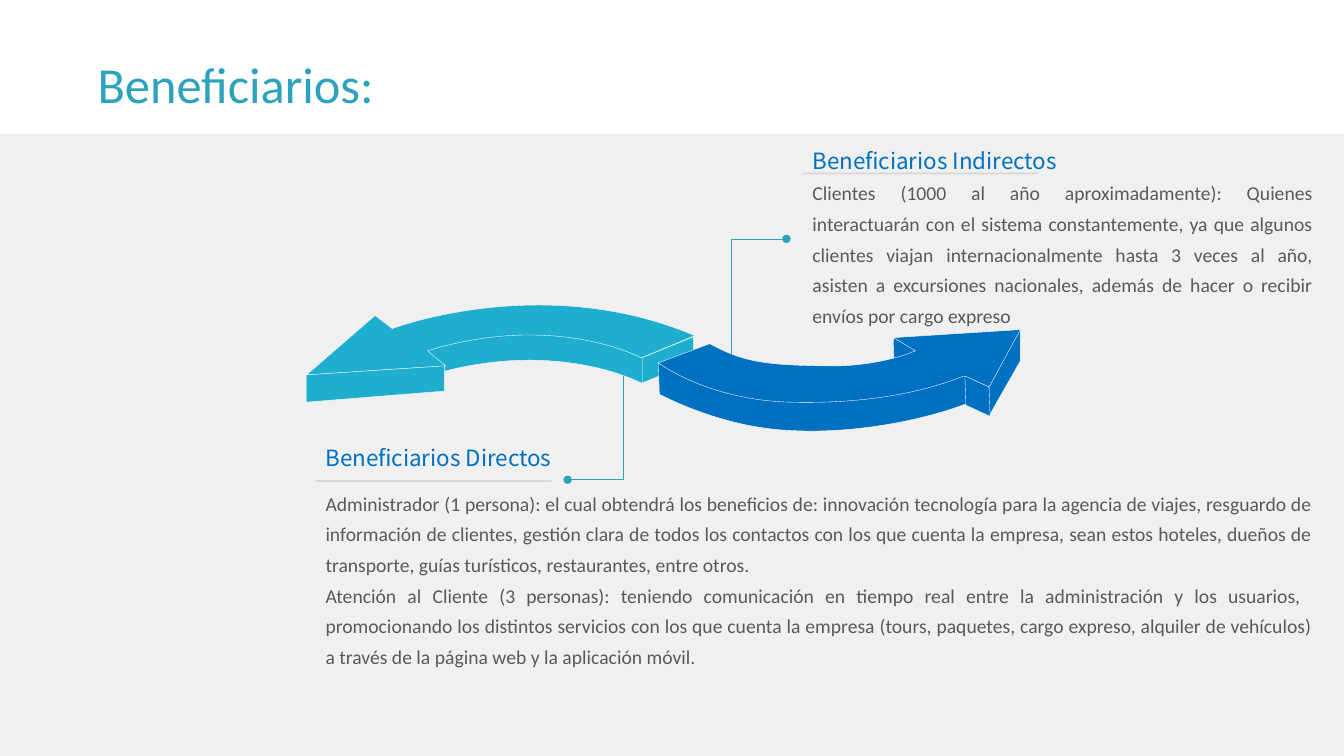
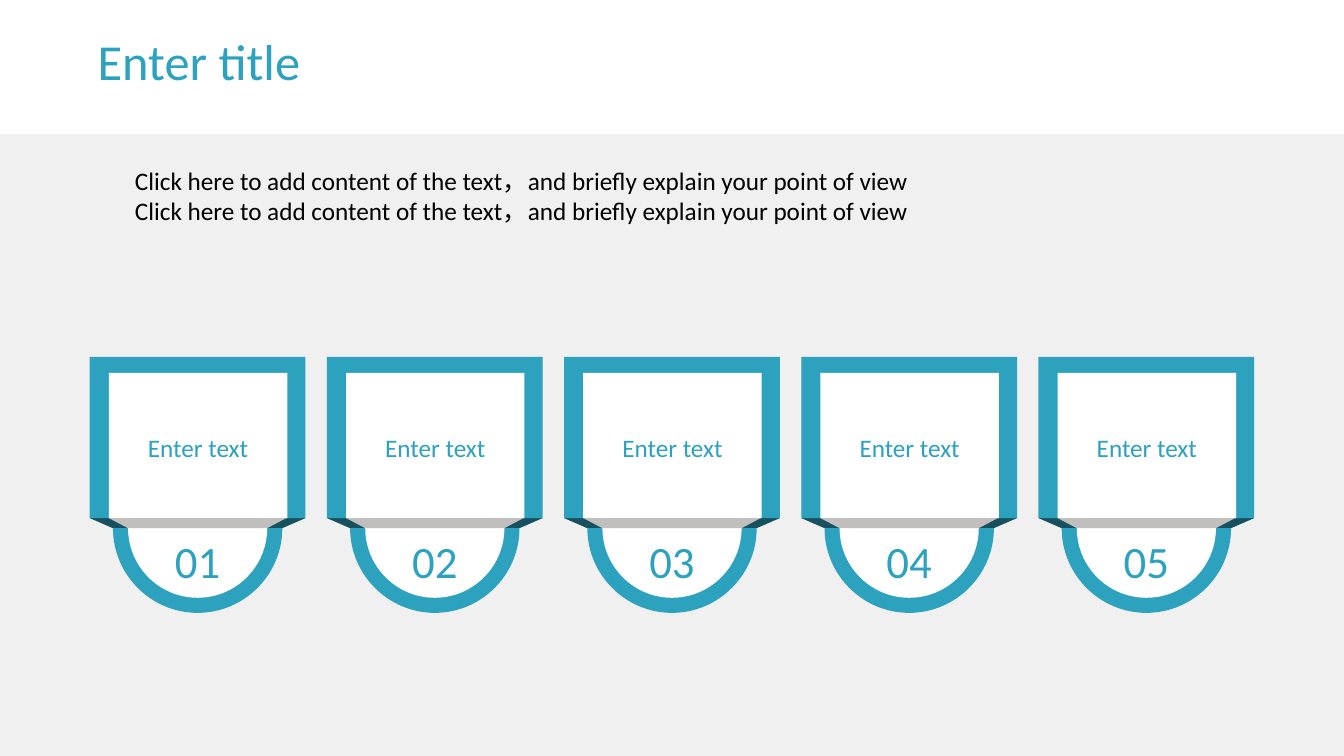
"""Build two slides: the groups who benefit, and five numbered cards."""
from pptx import Presentation
from pptx.dml.color import RGBColor
from pptx.enum.shapes import MSO_SHAPE
from pptx.enum.text import MSO_ANCHOR, PP_ALIGN
from pptx.oxml.ns import qn
from pptx.util import Inches, Pt

RECT = MSO_SHAPE.RECTANGLE
TOP, MIDDLE = MSO_ANCHOR.TOP, MSO_ANCHOR.MIDDLE
LEFT, CENTER, JUSTIFY = PP_ALIGN.LEFT, PP_ALIGN.CENTER, PP_ALIGN.JUSTIFY

WIDTH, HEIGHT, HEAD = 13.33, 7.5, 1.33
COLORS = {
    "white": "FFFFFF", "ground": "F0F0F0", "teal": "2DA2BF", "aqua": "1FAECD",
    "blue": "0070C0", "rule": "D9D9D9", "body": "595959", "black": "000000",
    "fold": "175160", "shade": "C0BFBE",
}

SMALL = {"margin_left": Inches(0.04), "margin_right": Inches(0.04),
         "margin_top": Inches(0.04), "margin_bottom": Inches(0.04)}
TIGHT = {"margin_left": 0, "margin_right": 0,
         "margin_top": 0, "margin_bottom": Inches(0.04)}


def style(color, size, name="Calibri", align=LEFT, space=1.0, anchor=TOP, inset=None):
    """Return the format values for frame, paragraph and font."""
    return {
        "color": color,
        "frame": {"word_wrap": True, "vertical_anchor": anchor, **(inset or {})},
        "para": {"alignment": align, "line_spacing": space},
        "font": {"size": Pt(size), "name": name},
    }


STYLES = {
    "title": style("teal", 36, space=0.9, anchor=MIDDLE),
    "label": style("blue", 16, name="Noto Sans CJK SC"),
    "body": style("body", 14, align=JUSTIFY, space=1.3),
    "intro": style("black", 18, space=Pt(21.5), inset={"margin_top": 0}),
    "card": style("teal", 18, align=CENTER, space=1.1, anchor=MIDDLE, inset=SMALL),
    "number": style("teal", 32, align=CENTER, anchor=MIDDLE, inset=TIGHT),
}

DIRECT = (
    "Administrador (1 persona): el cual obtendrá los beneficios de: innovación "
    "tecnología para la agencia de viajes, resguardo de información de clientes, "
    "gestión clara de todos los contactos con los que cuenta la empresa, sean estos "
    "hoteles, dueños de transporte, guías turísticos, restaurantes, entre otros.\n"
    "Atención al Cliente (3 personas): teniendo comunicación en tiempo real entre la "
    "administración y los usuarios,  promocionando los distintos servicios con los que "
    "cuenta la empresa (tours, paquetes, cargo expreso, alquiler de vehículos) a través "
    "de la página web y la aplicación móvil."
)
OTHERS = (
    "Clientes (1000 al año aproximadamente): Quienes interactuarán con el sistema "
    "constantemente, ya que algunos clientes viajan internacionalmente hasta 3 veces "
    "al año, asisten a excursiones nacionales, además de hacer o recibir envíos por "
    "cargo expreso"
)
INTRO = "Click here to add content of the text，and briefly explain your point of view"

ELBOWS = [
    [(6.18, 3.5), (6.18, 4.76), (5.63, 4.76)],
    [(7.25, 3.63), (7.25, 2.37), (7.8, 2.37)],
]
ARROWS = {
    "aqua": [
        [(6.89, 3.58), (6.36, 3.8), (6.36, 3.8, 5.51, 3.34, 4.24, 3.73), (4.42, 3.88),
         (3.04, 3.97), (3.04, 3.72), (3.34, 3.68, 3.25, 3.53, 3.89, 3.51),
         (4.53, 3.49, 5.39, 2.94, 6.89, 3.58)],
        [(6.89, 3.33), (6.36, 3.55), (6.36, 3.55, 5.51, 3.09, 4.24, 3.48), (4.42, 3.63),
         (3.04, 3.72), (3.72, 3.13), (3.89, 3.26), (3.89, 3.26, 5.39, 2.69, 6.89, 3.33)],
        [(4.41, 3.63), (4.41, 3.88), (3.04, 3.99), (3.04, 3.72)],
        [(6.37, 3.55), (6.37, 3.8), (6.88, 3.59), (6.88, 3.34)],
    ],
    "blue": [
        [(8.86, 3.35), (8.87, 3.69), (9.11, 3.82), (9.1, 3.48)],
        [(6.53, 3.6), (6.54, 3.91), (6.54, 3.91, 7.14, 4.24, 7.83, 4.27),
         (8.51, 4.31, 9.21, 4.15, 9.57, 4.01), (9.81, 4.13),
         (9.81, 4.12, 10, 3.79, 10.12, 3.58), (10.12, 3.27),
         (9.7, 3.39, 9.03, 3.55, 8.86, 3.64), (8.68, 3.72, 9.01, 3.72, 9.08, 3.77),
         (9.08, 3.77, 8.55, 3.94, 8.13, 3.92), (7.7, 3.89, 6.85, 3.77, 6.53, 3.6)],
        [(7.04, 3.41), (6.53, 3.6), (6.53, 3.6, 7.02, 3.97, 7.84, 3.99),
         (8.66, 4.01, 9.21, 3.87, 9.56, 3.73), (9.81, 3.84), (10.12, 3.27),
         (8.86, 3.35), (9.08, 3.48), (9.08, 3.48, 8.72, 3.65, 8.14, 3.63),
         (7.55, 3.62, 7.35, 3.58, 7.04, 3.41)],
        [(9.57, 3.73), (9.58, 4.02), (9.82, 4.13), (9.81, 3.84)],
    ],
}

CARDS, FIRST, STEP = 5, 1.96, 9.41 / 4
FRAME, PANEL, FOLD, BOWL = 3.54, 3.7, 5.14, 5.24
ROUND = 0.55


def rgb(name):
    """Look up a colour by name."""
    return RGBColor.from_string(COLORS[name])


def apply(target, values):
    """Set each value on the target."""
    for key, value in values.items():
        setattr(target, key, value)


def write(shape, words, kind):
    """Put words in a shape in one of the styles."""
    look = STYLES[kind]
    frame = shape.text_frame
    apply(frame, look["frame"])
    frame.text = words
    for para in frame.paragraphs:
        apply(para, look["para"])
        for run in para.runs:
            apply(run.font, look["font"])
            run.font.color.rgb = rgb(look["color"])


def paint(shape, fill=None, line=None, width=0.25):
    """Set fill and line, and drop the shadow and theme style."""
    shape.shadow.inherit = False
    root = shape._element
    root.remove(root.find(qn("p:style")))
    for part, color in ((shape.fill, fill), (shape.line.fill, line)):
        if color:
            part.solid()
            part.fore_color.rgb = rgb(color)
        else:
            part.background()
    if line:
        shape.line.width = Pt(width)
    return shape


def text(slide, box, words, kind):
    """Add a text box."""
    write(slide.shapes.add_textbox(*map(Inches, box)), words, kind)


def block(slide, box, fill):
    """Add a plain box."""
    return paint(slide.shapes.add_shape(RECT, *map(Inches, box)), fill)


def pairs(node):
    """Split a node into its points."""
    return list(zip(node[::2], node[1::2]))


def bounds(nodes, steps=24):
    """Return the low and high corner of an outline."""
    points = [nodes[0]]
    for node in nodes[1:]:
        ends = [points[-1], *pairs(node)]
        if len(ends) == 4:
            for n in range(1, steps):
                t, u = n / steps, 1 - n / steps
                parts = (u ** 3, 3 * t * u * u, 3 * t * t * u, t ** 3)
                points.append(tuple(sum(w * p[axis] for w, p in zip(parts, ends))
                                    for axis in (0, 1)))
        points.append(ends[-1])
    return [tuple(Inches(edge(axis)) for axis in zip(*points)) for edge in (min, max)]


def outline(slide, nodes, close=True, **look):
    """Add a free outline of corners and cubic curves."""
    low, high = bounds(nodes)
    pen = slide.shapes.build_freeform(*low, scale=1.0)
    pen.add_line_segments([high], close=close)
    shape = pen.convert_to_shape()
    route = next(shape._element.iter(qn("a:path")))
    for part in list(route):
        route.remove(part)
    tags = ["a:moveTo"] + ["a:lnTo" if len(n) == 2 else "a:cubicBezTo" for n in nodes[1:]]
    for tag, node in zip(tags, nodes):
        part = route.makeelement(qn(tag), {})
        route.append(part)
        for x, y in pairs(node):
            spot = {"x": str(Inches(x) - low[0]), "y": str(Inches(y) - low[1])}
            part.append(part.makeelement(qn("a:pt"), spot))
    if close:
        route.append(route.makeelement(qn("a:close"), {}))
    return paint(shape, **look)


def elbow(slide, nodes):
    """Add a bent line with a dot at each end."""
    line = outline(slide, nodes, close=False, line="teal", width=0.5).line
    root = line._get_or_add_ln()
    for tag in ("a:headEnd", "a:tailEnd"):
        root.append(root.makeelement(qn(tag), {"type": "oval"}))


def taper(slide, mid, wide, slim, fill):
    """Add a fold that narrows from the card to the bowl."""
    outline(slide, [(mid + slim, BOWL), (mid + wide, FOLD),
                    (mid - wide, FOLD), (mid - slim, BOWL)], fill=fill)


def bowl(slide, mid, size, fill):
    """Add a half disc that hangs from the fold."""
    left, right, low, bend = mid - size, mid + size, BOWL + size, size * ROUND
    return outline(slide, [
        (left, BOWL),
        (left, BOWL + bend, mid - bend, low, mid, low),
        (mid + bend, low, right, BOWL + bend, right, BOWL),
    ], fill=fill)


def card(slide, index):
    """Add one framed card with its number."""
    mid = FIRST + STEP * index
    taper(slide, mid, 1.07, 0.84, "fold")
    block(slide, (mid - 1.07, FRAME, 2.14, FOLD - FRAME), "teal")
    panel = block(slide, (mid - 0.88, PANEL, 1.77, FOLD - PANEL), "white")
    write(panel, "Enter text", "card")
    bowl(slide, mid, 0.84, "teal")
    write(bowl(slide, mid, 0.69, "white"), f"{index + 1:02}", "number")
    taper(slide, mid, 0.88, 0.69, "shade")


def label(slide, left, top, line, name):
    """Add a heading with its thin rule."""
    block(slide, (left, line, 2.34, 0.02), "rule")
    text(slide, (left, top, 2.87, 0.37), name, "label")


def bands(layout, slide):
    """Draw the shared bands and move them to the layout."""
    for holder in list(layout.placeholders):
        layout.shapes._spTree.remove(holder._element)
    ground = block(slide, (0, HEAD, WIDTH, HEIGHT - HEAD), "ground")
    head = block(slide, (0, 0, WIDTH, HEAD), "white")
    for band in (ground, head):
        layout.shapes._spTree.append(band._element)


def groups(slide):
    """Build the slide on who benefits."""
    text(slide, (0.87, 0.4, 10.94, 0.93), "Beneficiarios:", "title")
    for nodes in ELBOWS:
        elbow(slide, nodes)
    for color, faces in ARROWS.items():
        for nodes in faces:
            outline(slide, nodes, fill=color, line="white")
    label(slide, 3.13, 4.36, 4.76, "Beneficiarios Directos")
    text(slide, (3.13, 4.76, 9.99, 1.94), DIRECT, "body")
    label(slide, 7.96, 1.41, 1.71, "Beneficiarios Indirectos")
    text(slide, (7.96, 1.68, 5.16, 1.63), OTHERS, "body")


def cards(slide):
    """Build the slide of numbered cards."""
    text(slide, (0.87, 0.17, 10.94, 0.93), "Enter title", "title")
    for index in range(CARDS):
        card(slide, index)
    text(slide, (1.24, 1.64, 10.85, 1.03), "\v".join([INTRO] * 2), "intro")


def main():
    """Build and save the deck."""
    deck = Presentation()
    apply(deck, {"slide_width": Inches(WIDTH), "slide_height": Inches(HEIGHT)})
    layout = deck.slide_layouts[6]
    first, second = (deck.slides.add_slide(layout) for _ in range(2))
    bands(layout, first)
    groups(first)
    cards(second)
    deck.save("out.pptx")


if __name__ == "__main__":
    main()
